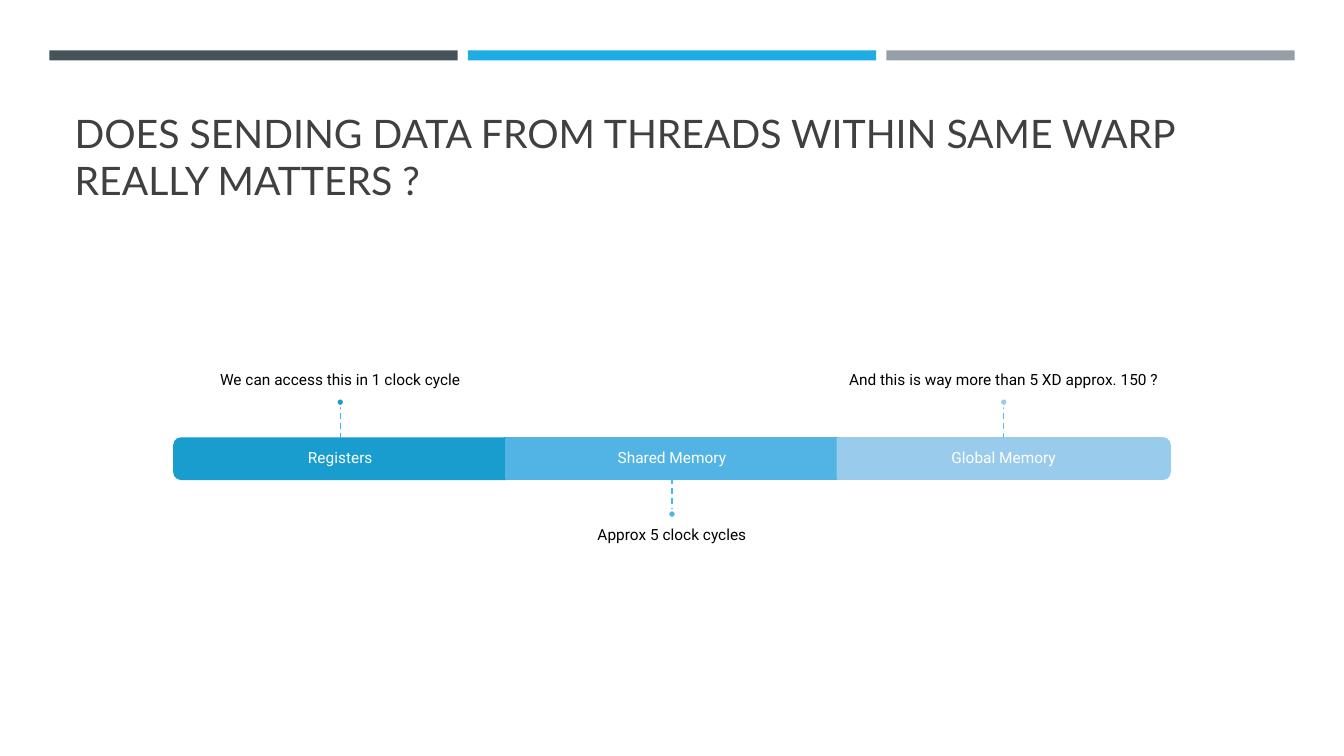
import pptx
import pptx.util
import pptx.dml.color
import pptx.enum.dml
import pptx.enum.shapes
import pptx.enum.text
import pptx.oxml.ns
import lxml.etree

Inches = pptx.util.Inches
Pt = pptx.util.Pt
Shape = pptx.enum.shapes.MSO_SHAPE
Anchor = pptx.enum.text.MSO_ANCHOR
Align = pptx.enum.text.PP_ALIGN

COLORS = {
    "slate": "465359", "blue": "1CADE4", "gray": "969FA7",
    "title": "404040", "black": "000000", "white": "FFFFFF",
    "reg": "199DCF", "shared": "52B3E5", "global": "99CBEC",
    "reg_stem": "36B3E9", "shared_stem": "48B8EC", "global_stem": "5ABEEF",
}
STAGES = [
    ("reg", "Registers", "We can access this in 1 clock cycle", 270),
    ("shared", "Shared Memory", "Approx 5 clock cycles", None),
    ("global", "Global Memory", "And this is way more than 5 XD approx. 150 ?", 90),
]


def color(name):
    """Return the named colour."""
    return pptx.dml.color.RGBColor.from_string(COLORS[name])


def add_form(slide, kind, box, fill, line=None):
    """Add a filled preset shape, with an outline if a colour is given."""
    form = slide.shapes.add_shape(kind, *map(Inches, box))
    form.shadow.inherit = False
    form.fill.solid()
    form.fill.fore_color.rgb = color(fill)
    if line:
        form.line.color.rgb = color(line)
        form.line.width = Pt(1.75)
    else:
        form.line.fill.background()
    return form


def add_label(slide, box, text, ink, anchor, pads):
    """Add a centred text box with the given insets."""
    frame = slide.shapes.add_textbox(*map(Inches, box)).text_frame
    frame.word_wrap = True
    frame.vertical_anchor = anchor
    (frame.margin_left, frame.margin_top,
     frame.margin_right, frame.margin_bottom) = map(Inches, pads)
    para = frame.paragraphs[0]
    para.text = text
    para.alignment = Align.CENTER
    para.line_spacing = 0.9
    para.font.size = Pt(11)
    para.font.name = "Roboto"
    para.font.color.rgb = color(ink)


def add_stem(slide, x, start, end, ink):
    """Add a dashed vertical line."""
    stem = slide.shapes.add_connector(
        pptx.enum.shapes.MSO_CONNECTOR.STRAIGHT,
        *map(Inches, (x, start, x, end)))
    stem.line.color.rgb = color(ink)
    stem.line.width = Pt(1)
    stem.line.dash_style = pptx.enum.dml.MSO_LINE.DASH
    props = stem._element.spPr
    lxml.etree.SubElement(props, pptx.oxml.ns.qn("a:effectLst"))
    return stem


def add_bars(slide, box):
    """Draw the three header bars across the box."""
    left, top, width, height = box
    gap = 0.1
    size = (width - 2 * gap) / 3
    for i, name in enumerate(("slate", "blue", "gray")):
        add_form(slide, Shape.RECTANGLE,
                 (left + i * (size + gap), top, size, height), name)


def set_title(slide, box, text):
    """Place and format the title."""
    title = slide.shapes.title
    title.left, title.top, title.width, title.height = map(Inches, box)
    frame = title.text_frame
    frame.word_wrap = True
    frame.auto_size = pptx.enum.text.MSO_AUTO_SIZE.NONE
    frame.vertical_anchor = Anchor.BOTTOM
    para = frame.paragraphs[0]
    para.text = text
    para.alignment = Align.LEFT
    para.font.size = Pt(28)
    para.font.name = "Lato"
    para.font.color.rgb = color("title")


def add_stage(slide, box, stage):
    """Draw one memory block with its callout, above if it is rounded."""
    name, label, note, turn = stage
    left, top, width, height = box
    mid = left + width / 2
    above = turn is not None
    if above:
        block = add_form(slide, Shape.ROUND_2_SAME_RECTANGLE,
                         (mid - height / 2, top + height / 2 - width / 2,
                          height, width), name, name)
        block.rotation = turn
        edge, tip, dot = top, top - 0.32, top - 0.4
        area = (mid - 2.74, top - 1.79, 5.48, 1.39)
        anchor, pads = Anchor.BOTTOM, (0, 0, 0, 0.09)
    else:
        block = add_form(slide, Shape.RECTANGLE, box, name, name)
        edge = top + height
        tip = dot = edge + 0.31
        area = (mid - 2.74, edge + 0.39, 5.48, 1.39)
        anchor, pads = Anchor.TOP, (0, 0.09, 0, 0)
    add_label(slide, box, label, "white", Anchor.MIDDLE, (0.09,) * 4)
    add_label(slide, area, note, "black", anchor, pads)
    stem = add_stem(slide, mid, edge, tip, name + "_stem")
    if not above:
        stem.begin_connect(block, 2)
    add_form(slide, Shape.OVAL, (mid - 0.04, dot, 0.08, 0.08), name, "white")


def add_strip(slide, box):
    """Divide the box evenly among the memory stages."""
    left, top, width, height = box
    size = width / len(STAGES)
    for i, stage in enumerate(STAGES):
        add_stage(slide, (left + i * size, top, size, height), stage)


def main():
    """Build and save the slide."""
    deck = pptx.Presentation()
    deck.slide_width = Inches(13.33)
    deck.slide_height = Inches(7.5)
    slide = deck.slides.add_slide(deck.slide_layouts[5])
    add_bars(slide, (0.49, 0.5, 12.35, 0.1))
    set_title(slide, (0.64, 0.77, 12.06, 1.3),
              "DOES SENDING DATA FROM THREADS WITHIN SAME WARP REALLY MATTERS ?")
    add_strip(slide, (1.73, 4.35, 9.87, 0.4))
    deck.save("out.pptx")


if __name__ == "__main__":
    main()
